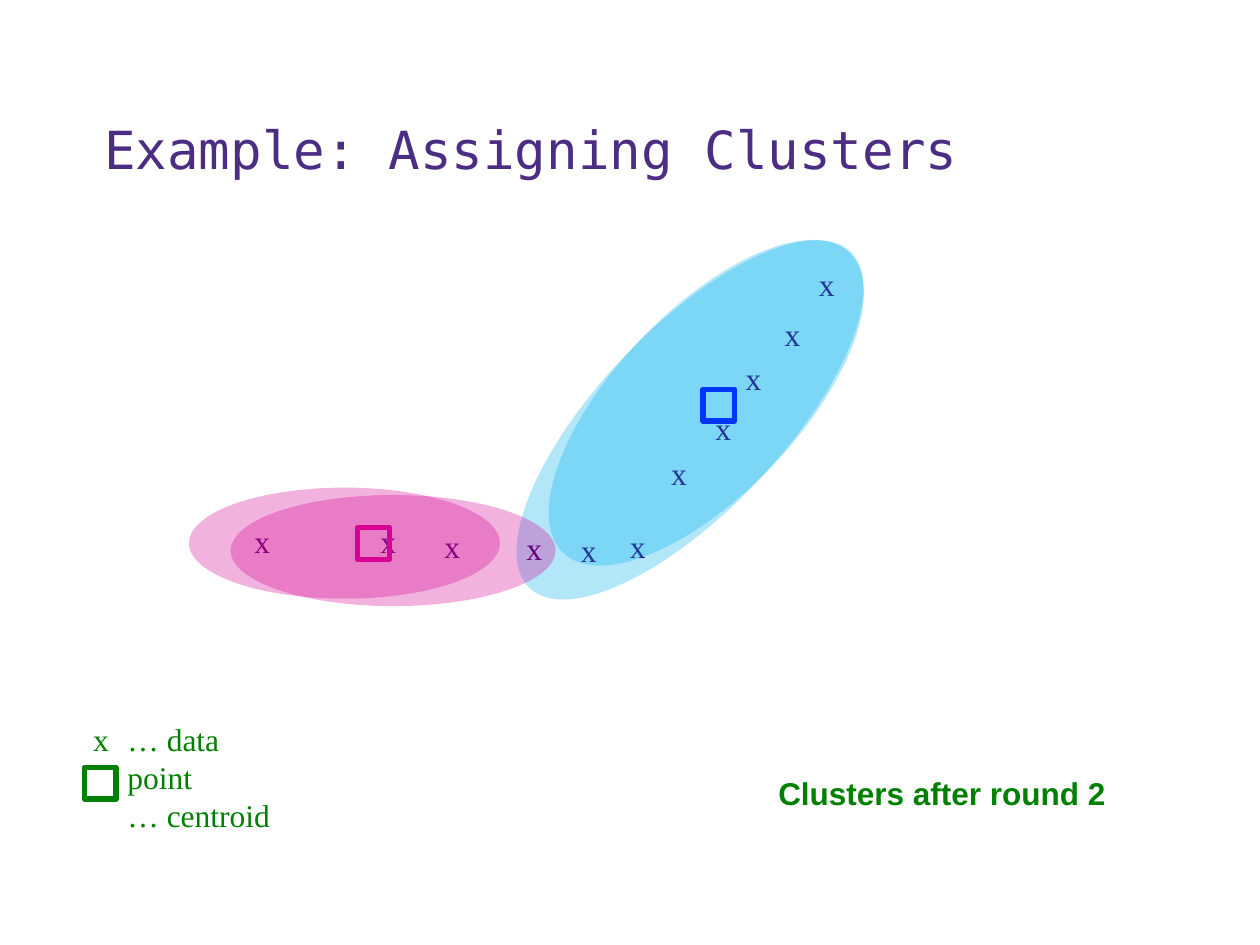
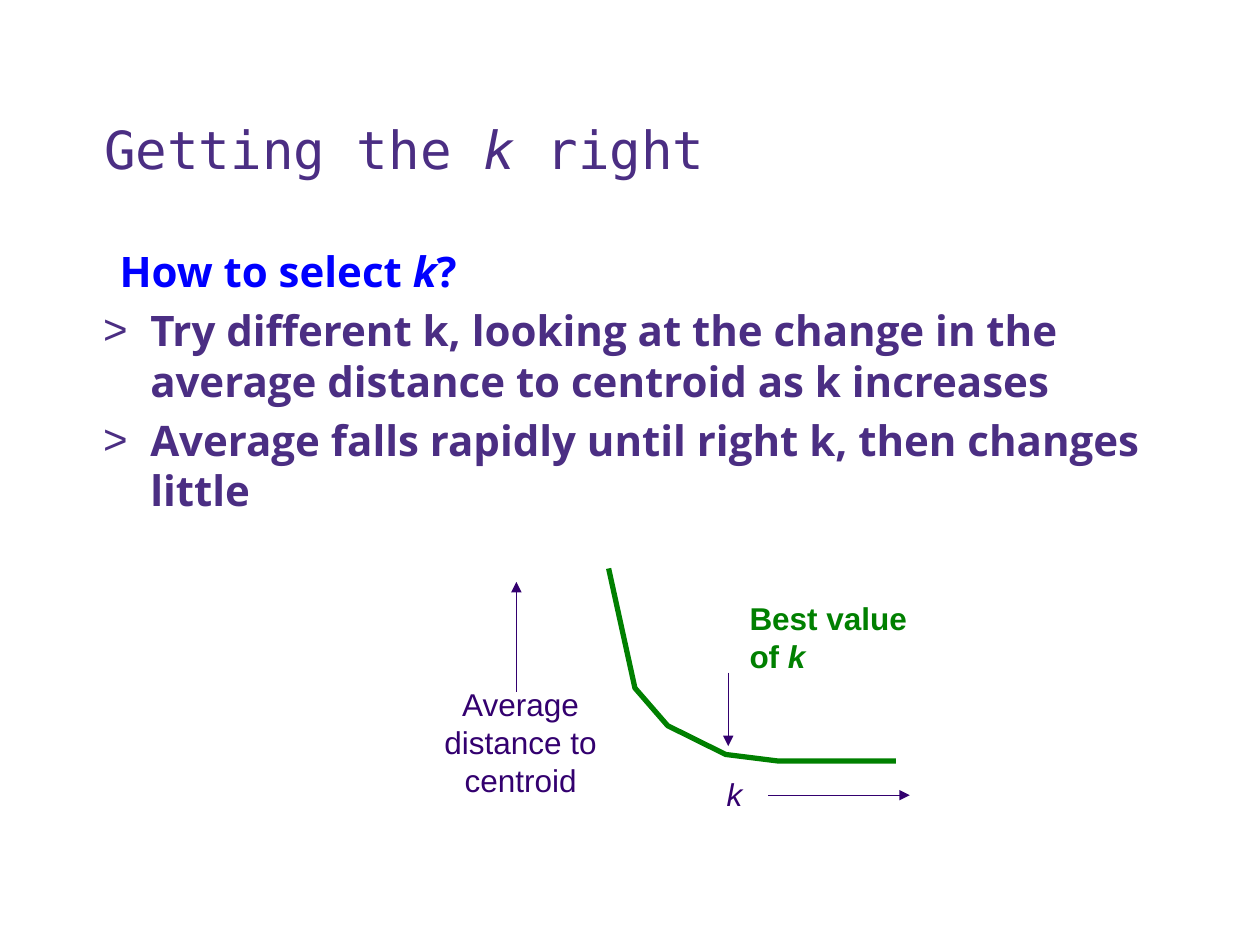
from lxml import etree
from pptx import Presentation
from pptx.dml.color import RGBColor
from pptx.enum.shapes import MSO_CONNECTOR, MSO_SHAPE
from pptx.enum.text import MSO_ANCHOR, PP_ALIGN
from pptx.oxml.ns import qn
from pptx.util import Cm, Pt

OVAL, SQUARE = MSO_SHAPE.OVAL, MSO_SHAPE.RECTANGLE
STRAIGHT = MSO_CONNECTOR.STRAIGHT
BOTTOM, CENTER = MSO_ANCHOR.BOTTOM, PP_ALIGN.CENTER

COLORS = {
    "heading": "4B2E83", "ink": "33006F", "green": "008000", "blue": "0000FF",
    "magenta": "D60093", "sky": "00B0F0",
}
FORMATS = {
    "title": ({"name": "DejaVu Sans Mono", "size": Pt(30)}, "heading"),
    "question": ({"name": "Open Sans", "size": Pt(24), "bold": True}, "blue"),
    "answer": ({"name": "Open Sans", "size": Pt(24), "bold": True}, "heading"),
    "point": ({"name": "Times New Roman", "size": Pt(18)}, "ink"),
    "legend": ({"name": "Times New Roman", "size": Pt(18)}, "green"),
    "label": ({"name": "Arial", "size": Pt(18)}, "ink"),
    "callout": ({"name": "Arial", "size": Pt(18), "bold": True}, "green"),
}
TITLE_AT = (1.85, 1.04, 22.73, 2.74)
CENTROID_SIDE = 0.64


def add_text(slide, at, lines, wrap=False, **paragraph_format):
    """Write (format, text) lines; text between asterisks is italic."""
    frame = slide.shapes.add_textbox(*map(Cm, at)).text_frame
    frame.word_wrap = wrap
    for number, (style, text) in enumerate(lines):
        paragraph = frame.add_paragraph() if number else frame.paragraphs[0]
        for name, value in paragraph_format.items():
            setattr(paragraph, name, value)
        font_values, color = FORMATS[style]
        for part, words in enumerate(text.split("*")):
            if not words:
                continue
            run = paragraph.add_run()
            run.text = words
            for name, value in font_values.items():
                setattr(run.font, name, value)
            run.font.italic = part % 2 == 1
            run.font.color.rgb = RGBColor.from_string(COLORS[color])
    return frame


def add_mark(slide, kind, at, color, rotation=0):
    """Draw a translucent cluster oval or an outlined centroid square."""
    mark = slide.shapes.add_shape(kind, *map(Cm, at))
    mark.shadow.inherit = False
    mark.rotation = rotation
    rgb = RGBColor.from_string(COLORS[color])
    if kind == OVAL:
        mark.fill.solid()
        mark.fill.fore_color.rgb = rgb
        tint = mark._element.spPr.find(qn("a:solidFill"))[0]
        etree.SubElement(tint, qn("a:alpha"), val="30000")
        mark.line.fill.background()
    else:
        mark.fill.background()
        mark.line.color.rgb = rgb
        mark.line.width = Pt(3)


prs = Presentation()
prs.slide_width, prs.slide_height = Cm(25.4), Cm(19.05)

# Slides and their titles
slides = []
for title in ("Example: Assigning Clusters", "Getting the *k* right"):
    slide = prs.slides.add_slide(prs.slide_layouts[6])
    heading = add_text(slide, TITLE_AT, [("title", title)], wrap=True, line_spacing=0.9)
    heading.vertical_anchor = BOTTOM
    slides.append(slide)
clusters, choosing_k = slides

# Slide 1: earlier cluster behind the data points
add_mark(clusters, OVAL, (12.07, 3.78, 3.68, 9.37), "sky", 43.6)

data_points = [
    (4.88, 10.39), (7.42, 10.39), (8.71, 10.49), (10.36, 10.54),
    (11.46, 10.59), (12.45, 10.49), (13.28, 9.02), (14.17, 8.13),
    (14.78, 7.11), (15.57, 6.22), (16.26, 5.21),
]
for left, top in data_points:
    add_text(clusters, (left, top, 0.84, 1.02), [("point", "x")])

# Legend, with the descriptions on a common indent
legend = add_text(clusters, (1.63, 14.4, 4.5, 1.8),
                  [("legend", "x\t… data point"), ("legend", "… centroid")])
for paragraph, hanging in zip(legend.paragraphs, (-0.69, 0)):
    properties = paragraph._p.get_or_add_pPr()
    properties.set("marL", str(Cm(0.69)))
    properties.set("indent", str(Cm(hanging)))

# Centroids: legend key, then one for each cluster
for left, top, color in ((1.7, 15.47, "green"), (14.17, 7.85, "blue"),
                         (7.21, 10.64, "magenta")):
    add_mark(clusters, SQUARE, (left, top, CENTROID_SIDE, CENTROID_SIDE), color)

# Clusters over the points
add_mark(clusters, OVAL, (3.81, 9.83, 6.27, 2.24), "magenta")
add_mark(clusters, OVAL, (4.65, 9.98, 6.55, 2.24), "magenta")
add_mark(clusters, OVAL, (12.4, 3.94, 3.68, 8.36), "sky", 43.6)
add_text(clusters, (15.44, 15.47, 7.16, 1.02), [("callout", "Clusters after round 2")])

# Slide 2: question and answers
advice = add_text(choosing_k, (1.83, 4.83, 22.76, 11.15), [
    ("question", "How to select *k*?"),
    ("answer", "Try different k, looking at the change in the average distance "
               "to centroid as k increases"),
    ("answer", "Average falls rapidly until right k, then changes little"),
], wrap=True)
question, *answers = advice.paragraphs
question._p.get_or_add_pPr().set("marL", str(Cm(0.33)))
for answer in answers:
    answer.space_before = Pt(5)
    properties = answer._p.get_or_add_pPr()
    properties.set("marL", str(Cm(0.95)))
    properties.set("indent", str(Cm(-0.95)))
    etree.SubElement(properties, qn("a:buFont"), typeface="Arial")
    etree.SubElement(properties, qn("a:buChar"), char=">")

# Axis labels and callout
add_text(choosing_k, (14.4, 15.49, 0.84, 1.02), [("label", "*k*")])
add_text(choosing_k, (8.69, 13.69, 3.61, 2.57),
         [("label", line) for line in ("Average", "distance to", "centroid")],
         alignment=CENTER)
add_text(choosing_k, (14.86, 11.96, 3.71, 1.8),
         [("callout", "Best value"), ("callout", "of *k*")])

# Arrows: distance axis, k axis, best value
for ends in ((10.41, 13.94, 10.41, 11.73), (15.49, 16.03, 18.34, 16.03),
             (14.68, 13.56, 14.68, 15.04)):
    arrow = choosing_k.shapes.add_connector(STRAIGHT, *map(Cm, ends))
    arrow.line.color.rgb = RGBColor.from_string(COLORS["ink"])
    arrow.line.width = Pt(0.75)
    etree.SubElement(arrow.line._get_or_add_ln(), qn("a:tailEnd"), type="triangle")
    etree.SubElement(arrow._element.spPr, qn("a:effectLst"))

# Curve of average distance against k
curve_points = [
    (Cm(x), Cm(y)) for x, y in (
        (12.27, 11.46), (12.8, 13.87), (13.46, 14.63), (14.63, 15.21),
        (15.67, 15.34), (17.2, 15.34), (18.06, 15.34))
]
outline = choosing_k.shapes.build_freeform(*curve_points[0])
outline.add_line_segments(curve_points[1:], close=False)
curve = outline.convert_to_shape()
curve.shadow.inherit = False
curve.fill.background()
curve.line.color.rgb = RGBColor.from_string(COLORS["green"])
curve.line.width = Pt(3)

prs.save("out.pptx")
